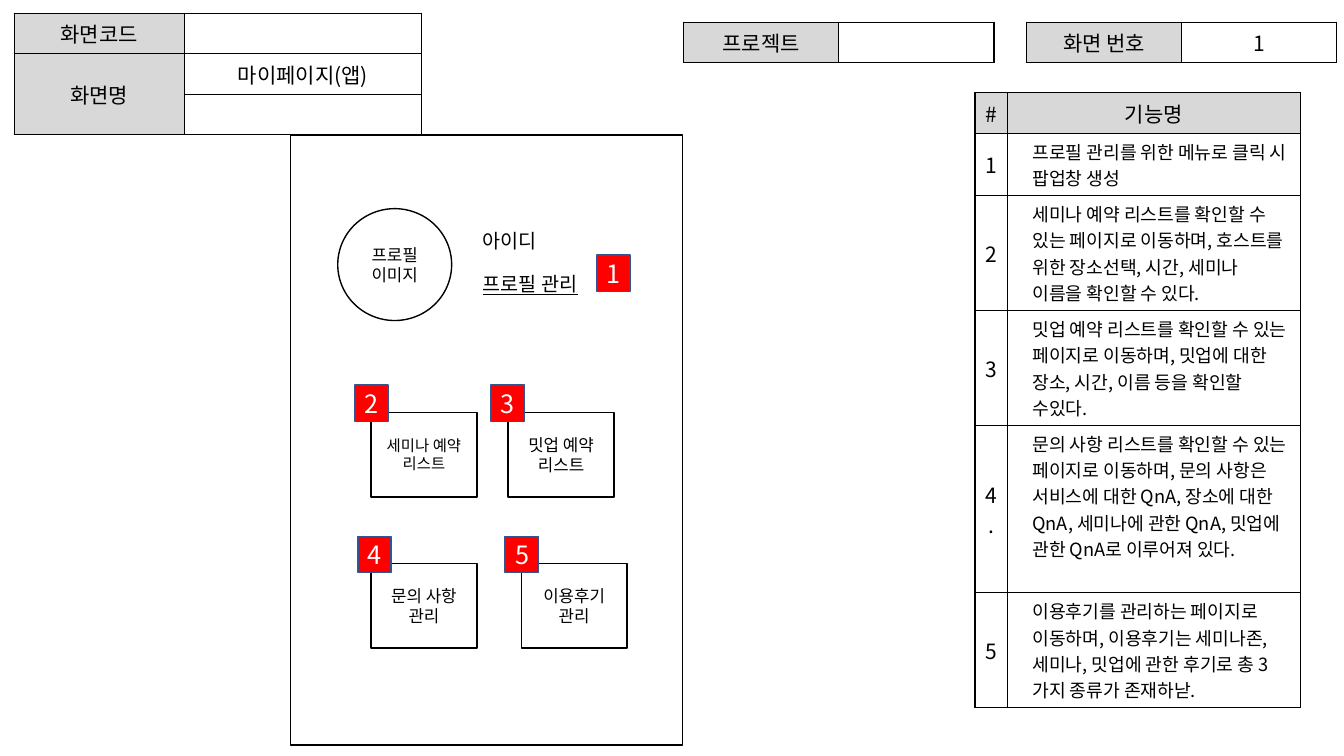
"""Build the wireframe sheet for the app's my-page screen."""
import lxml.etree
import pptx
import pptx.util
from pptx.dml.color import RGBColor
from pptx.enum.shapes import MSO_SHAPE
from pptx.enum.text import MSO_ANCHOR, PP_ALIGN
from pptx.oxml.ns import qn

FONT = "Noto Sans CJK KR"
COLORS = {"ink": "000000", "head": "D8D8D8", "paper": "FFFFFF",
          "badge": "FF0000", "edge": "325491"}

FEATURES = [
    ("#", "기능명"),
    ("1", "프로필 관리를 위한 메뉴로 클릭 시 팝업창 생성"),
    ("2", "세미나 예약 리스트를 확인할 수 있는 페이지로 이동하며, 호스트를 위한 장소선택, 시간, 세미나 이름을 확인할 수 있다."),
    ("3", "밋업 예약 리스트를 확인할 수 있는 페이지로 이동하며, 밋업에 대한 장소, 시간, 이름 등을 확인할 수있다."),
    ("4.", "문의 사항 리스트를 확인할 수 있는 페이지로 이동하며, 문의 사항은 서비스에 대한 QnA, 장소에 대한 QnA, 세미나에 관한 QnA, 밋업에 관한 QnA로 이루어져 있다."),
    ("5", "이용후기를 관리하는 페이지로 이동하며, 이용후기는 세미나존, 세미나, 밋업에 관한 후기로 총 3가지 종류가 존재하낟."),
]
SCREEN = [("화면코드", ""), ("화면명", "마이페이지(앱)"), ("", "")]
LABELS = [(10.18, "화면 번호", "1"), (6.78, "프로젝트", "")]
MENUS = [
    (3.68, 4.09, ["세미나 예약 리스트"], 11),
    (5.04, 4.09, ["밋업 예약", "리스트"], 12),
    (3.68, 5.59, ["문의 사항", "관리"], 12),
    (5.17, 5.59, ["이용후기 관리"], 12),
]
BADGES = [(5.92, 2.53), (3.52, 3.82), (4.87, 3.82), (3.55, 5.32), (5.01, 5.32)]


def inch(*sizes):
    return [pptx.util.Inches(size) for size in sizes]


def rgb(name):
    return RGBColor.from_string(COLORS[name])


def style(para, size, align=PP_ALIGN.CENTER, color="ink"):
    para.alignment = align
    font = para.font
    font.size = pptx.util.Pt(size)
    font.name = FONT
    font.color.rgb = rgb(color)
    props = para._p.pPr.find(qn("a:defRPr"))
    lxml.etree.SubElement(props, qn("a:ea"), typeface=FONT)


def border(cell):
    props = cell._tc.get_or_add_tcPr()
    for side in "LRTB":
        line = lxml.etree.SubElement(props, qn("a:ln" + side), w="12700")
        fill = lxml.etree.SubElement(line, qn("a:solidFill"))
        lxml.etree.SubElement(fill, qn("a:srgbClr"), val=COLORS["ink"])


def grid(slide, left, top, cols, rows, data, heads):
    frame = slide.shapes.add_table(
        len(rows), len(cols), *inch(left, top, sum(cols), sum(rows)))
    table = frame.table
    for col, width in zip(table.columns, inch(*cols)):
        col.width = width
    for row, height in zip(table.rows, inch(*rows)):
        row.height = height
    for r, texts in enumerate(data):
        for c, text in enumerate(texts):
            cell = table.cell(r, c)
            border(cell)
            cell.fill.solid()
            cell.fill.fore_color.rgb = rgb("head" if heads(r, c) else "paper")
            cell.vertical_anchor = MSO_ANCHOR.MIDDLE
            cell.text = text
            style(cell.text_frame.paragraphs[0], 15)
    return table


def box(slide, kind, spot, lines=(), size=12, fill=None, edge="ink", color="ink"):
    shape = slide.shapes.add_shape(kind, *inch(*spot))
    shape.shadow.inherit = False
    if fill:
        shape.fill.solid()
        shape.fill.fore_color.rgb = rgb(fill)
    else:
        shape.fill.background()
    shape.line.color.rgb = rgb(edge)
    shape.line.width = pptx.util.Pt(1)
    frame = shape.text_frame
    frame.word_wrap = True
    frame.vertical_anchor = MSO_ANCHOR.MIDDLE
    frame.text = "\n".join(lines)
    for para in frame.paragraphs:
        style(para, size, color=color)


def user(slide):
    frame = slide.shapes.add_textbox(*inch(4.69, 2.22, 1.55, 0.81)).text_frame
    frame.word_wrap = True
    frame.text = "아이디\n프로필 관리"
    for para in frame.paragraphs:
        style(para, 14, PP_ALIGN.LEFT)
    link = frame.paragraphs[1]
    link.space_before = pptx.util.Pt(14)
    link.runs[0].font.underline = True


def main():
    deck = pptx.Presentation()
    deck.slide_width, deck.slide_height = inch(13.33, 7.5)
    slide = deck.slides.add_slide(deck.slide_layouts[6])

    screen = grid(slide, 0.14, 0.13, [1.69, 2.35], [0.3] * 3, SCREEN,
                  lambda r, c: c == 0)
    screen.cell(1, 0).merge(screen.cell(2, 0))
    for left, name, value in LABELS:
        grid(slide, left, 0.22, [1.54] * 2, [0.29], [(name, value)],
             lambda r, c: c == 0)
    table = grid(slide, 9.67, 0.92, [0.32, 2.91], [0.31, 0.36] + [0.9] * 4,
                 FEATURES, lambda r, c: r == 0)
    for r in range(1, len(FEATURES)):
        cell = table.cell(r, 1)
        cell.vertical_anchor = MSO_ANCHOR.TOP
        para = cell.text_frame.paragraphs[0]
        para.alignment = PP_ALIGN.LEFT
        para.font.size = pptx.util.Pt(13)
        props = para._p.get_or_add_pPr()
        props.set("marL", str(pptx.util.Inches(0.15)))
        props.set("indent", "0")

    rect = MSO_SHAPE.RECTANGLE
    box(slide, rect, (2.88, 1.34, 3.89, 6.05))
    box(slide, MSO_SHAPE.OVAL, (3.35, 2.07, 1.13, 1.11), ["프로필이미지"])
    user(slide)
    for left, top, lines, size in MENUS:
        box(slide, rect, (left, top, 1.05, 0.84), lines, size)
    for num, (left, top) in enumerate(BADGES, 1):
        box(slide, rect, (left, top, 0.33, 0.36), [str(num)], 18,
            "badge", "edge", "paper")
    deck.save("out.pptx")


if __name__ == "__main__":
    main()
